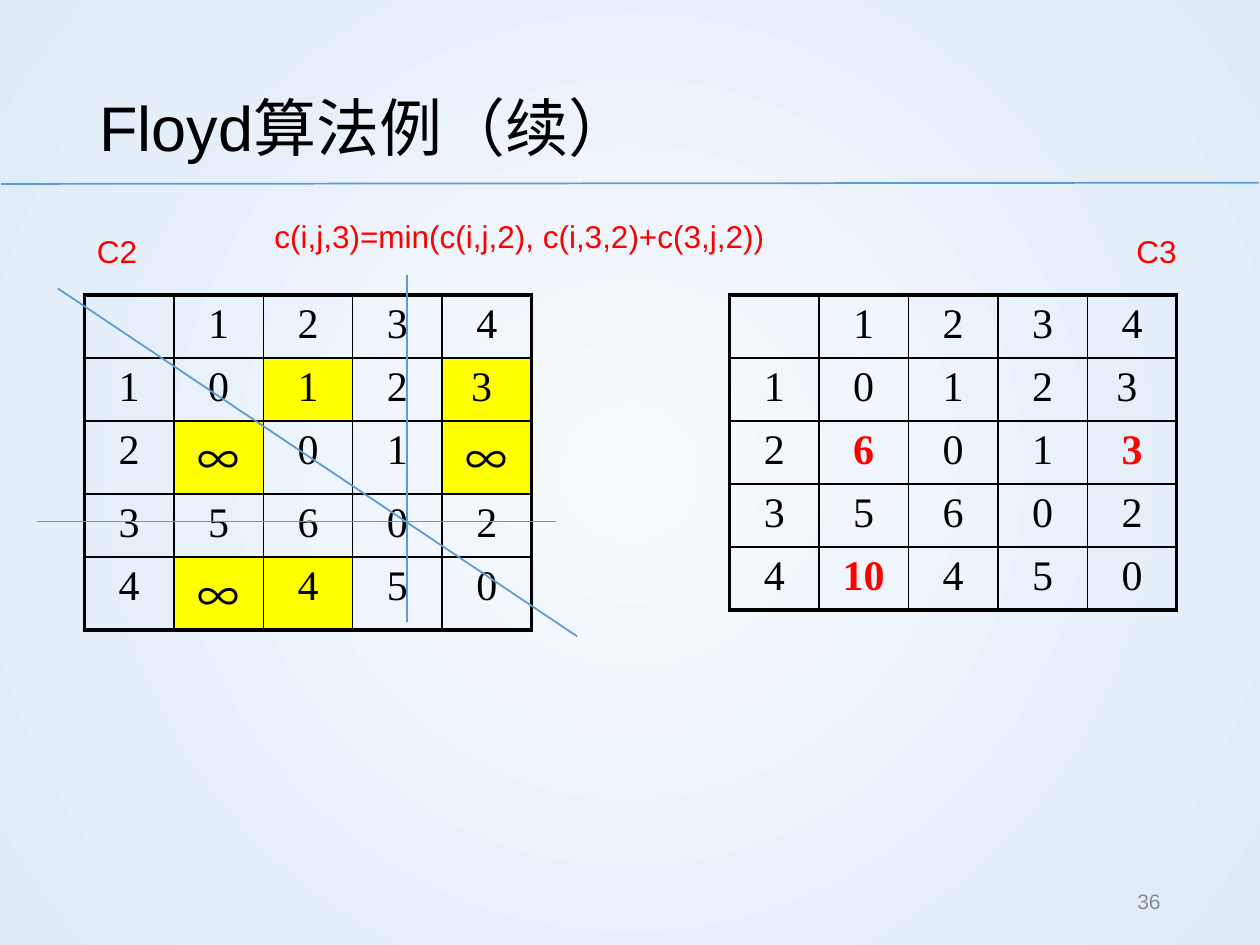
import lxml.etree
import pptx
import pptx.dml.color
import pptx.enum.shapes
import pptx.enum.text
import pptx.oxml.ns
import pptx.util

Inches = pptx.util.Inches
Pt = pptx.util.Pt
ALIGN = pptx.enum.text.PP_ALIGN
ANCHOR = pptx.enum.text.MSO_ANCHOR
CJK_FONT = "Noto Sans CJK SC"
BLACK, RED, YELLOW, BLUE = "000000", "FF0000", "FFFF00", "5B9BD5"
C2_ROWS = [
    ["", "1", "2", "3", "4"],
    ["1", "0", "1", "2", "3 "],
    ["2", "∞", "0", "1", "∞"],
    ["3", "5", "6", "0", "2"],
    ["4", "∞", "4", "5", "0"],
]
C3_ROWS = [
    ["", "1", "2", "3", "4"],
    ["1", "0", "1", "2", "3 "],
    ["2", "6", "0", "1", "3"],
    ["3", "5", "6", "0", "2"],
    ["4", "10", "4", "5", "0"],
]


def color(value):
    return pptx.dml.color.RGBColor.from_string(value)


def add_element(parent, tag, **attributes):
    return lxml.etree.SubElement(parent, pptx.oxml.ns.qn(tag), attributes)


def set_attributes(target, values):
    for name, value in values.items():
        setattr(target, name, value)


def write_text(paragraph, text, size, font, font_color, bold=False, **formats):
    set_attributes(paragraph, formats)
    run = paragraph.add_run()
    run.text = text
    set_attributes(run.font, {"size": Pt(size), "name": font, "bold": bold})
    run.font.color.rgb = color(font_color)
    add_element(run.font._element, "a:ea", typeface=CJK_FONT)


def set_background(slide):
    fill = slide.background.fill
    fill.gradient()
    for stop, value in zip(fill.gradient_stops, ("F7FAFD", "DEEBF7")):
        stop.color.rgb = color(value)
    gradient = slide.element.find(".//" + pptx.oxml.ns.qn("a:gradFill"))
    gradient.remove(gradient.find(pptx.oxml.ns.qn("a:lin")))
    shade = add_element(gradient, "a:path", path="circle")
    add_element(shade, "a:fillToRect", l="50000", t="50000", r="50000", b="50000")


def add_text(slide, box, text, size, font_color, anchor=ANCHOR.TOP, **formats):
    shape = slide.shapes.add_textbox(*map(Inches, box))
    set_attributes(shape.text_frame, {"word_wrap": True, "vertical_anchor": anchor})
    write_text(shape.text_frame.paragraphs[0], text, size, "Arial", font_color, **formats)


def add_line(slide, start, end):
    connector = slide.shapes.add_connector(
        pptx.enum.shapes.MSO_CONNECTOR.STRAIGHT, *map(Inches, start + end))
    connector.line.color.rgb = color(BLUE)
    connector.line.width = Pt(1)
    add_element(connector._element.spPr, "a:effectLst")


def set_borders(cell, row, column, last):
    outer_sides = {"L": column == 0, "R": column == last, "T": row == 0, "B": row == last}
    properties = cell._tc.get_or_add_tcPr()
    for side, outer in outer_sides.items():
        border = add_element(properties, f"a:ln{side}", w=str(Pt(2.25 if outer else 1)))
        add_element(add_element(border, "a:solidFill"), "a:srgbClr", val=BLACK)


def add_matrix(slide, left, rows, heights, filled=(), changed=()):
    count = len(rows)
    frame = slide.shapes.add_table(
        count, count, Inches(left), Inches(2.34), Inches(3.55), Inches(sum(heights)))
    table = frame.table
    set_attributes(table, {"first_row": False, "horz_banding": False})
    for column in table.columns:
        column.width = Inches(0.71)
    for row, values in enumerate(rows):
        table.rows[row].height = Inches(heights[row])
        for column, value in enumerate(values):
            cell = table.cell(row, column)
            set_borders(cell, row, column, count - 1)
            if (row, column) in filled:
                cell.fill.solid()
                cell.fill.fore_color.rgb = color(YELLOW)
            else:
                cell.fill.background()
            if value:
                is_changed = (row, column) in changed
                write_text(
                    cell.text_frame.paragraphs[0], value, 24,
                    CJK_FONT if value == "∞" else "Times New Roman",
                    RED if is_changed else BLACK, is_changed, alignment=ALIGN.CENTER)


def main():
    presentation = pptx.Presentation()
    set_attributes(presentation, {"slide_width": Inches(10), "slide_height": Inches(7.5)})
    slide = presentation.slides.add_slide(presentation.slide_layouts[6])
    set_background(slide)
    add_line(slide, (0.01, 1.46), (9.99, 1.45))
    add_text(slide, (0.69, 0.4, 8.62, 1.08), "Floyd算法例（续）", 36, BLACK,
             ANCHOR.MIDDLE, line_spacing=1.2)
    add_matrix(slide, 0.67, C2_ROWS, [0.47, 0.47, 0.58, 0.47, 0.58],
               filled={(1, 2), (1, 4), (2, 1), (2, 4), (4, 1), (4, 2)})
    add_matrix(slide, 5.79, C3_ROWS, [0.5] * 5, changed={(2, 1), (2, 4), (4, 1)})
    add_text(slide, (0.67, 1.79, 0.75, 0.4), "C2", 18, RED)
    add_text(slide, (2.08, 1.67, 7.58, 0.4),
             "c(i,j,3)=min(c(i,j,2), c(i,3,2)+c(3,j,2))", 18, RED)
    add_text(slide, (8.92, 1.79, 0.75, 0.4), "C3", 18, RED)
    add_line(slide, (0.46, 2.29), (4.58, 5.05))
    add_line(slide, (0.29, 4.14), (4.41, 4.14))
    add_line(slide, (3.23, 4.94), (3.23, 2.18))
    add_text(slide, (7.06, 6.95, 2.25, 0.4), "36", 12, "8C8C8C",
             ANCHOR.MIDDLE, alignment=ALIGN.RIGHT)
    presentation.save("out.pptx")


if __name__ == "__main__":
    main()
